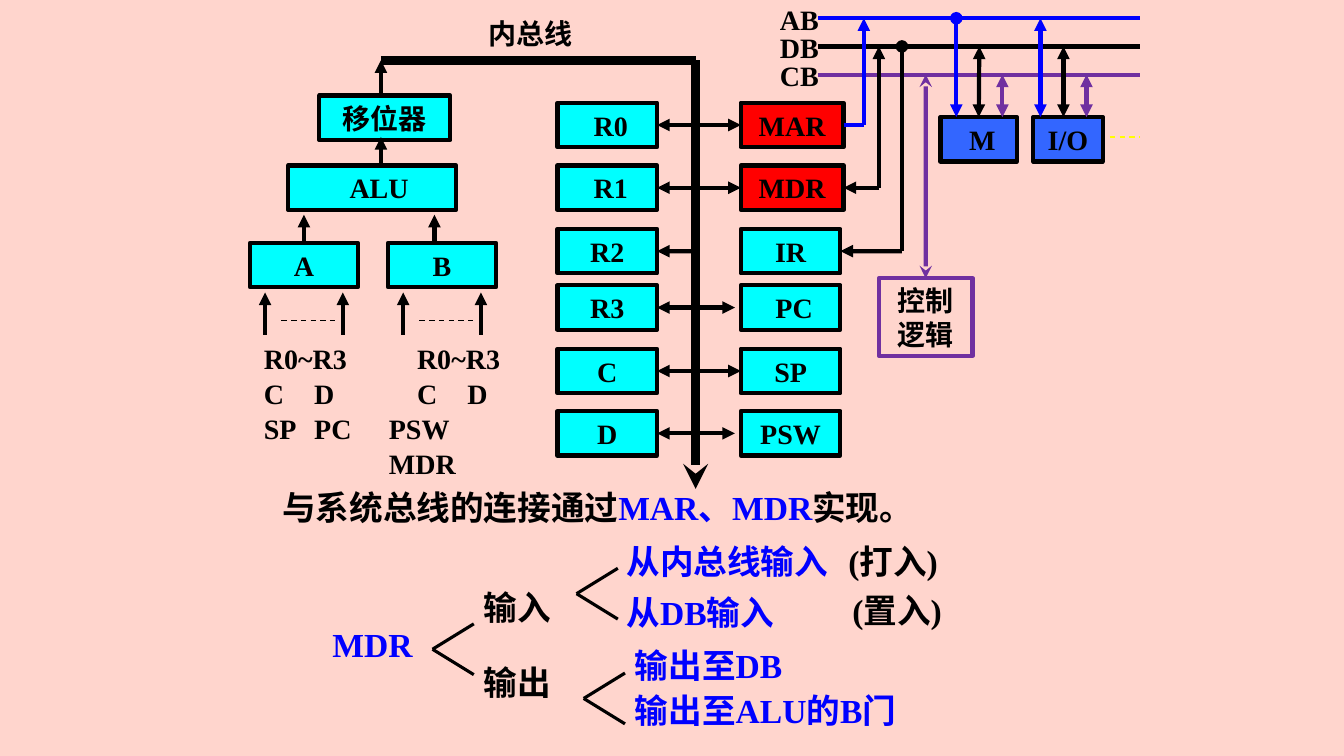
from lxml import etree
from pptx import Presentation, util as u
from pptx.dml.color import RGBColor
from pptx.enum import dml, shapes, text
from pptx.oxml.ns import qn

BLACK = RGBColor(0x00, 0x00, 0x00)
BLUE = RGBColor(0x00, 0x00, 0xFF)
PURPLE = RGBColor(0x70, 0x30, 0xA0)
CYAN = RGBColor(0x00, 0xFF, 0xFF)
DEVICE_BLUE = RGBColor(0x33, 0x66, 0xFF)
RED = RGBColor(0xFF, 0x00, 0x00)
YELLOW = RGBColor(0xFF, 0xFF, 0x00)
PINK = RGBColor(0xFF, 0xD5, 0xCD)

LEFT, CENTER = text.PP_ALIGN.LEFT, text.PP_ALIGN.CENTER
TOP, MIDDLE = text.MSO_ANCHOR.TOP, text.MSO_ANCHOR.MIDDLE
BOX_HEIGHT = 1.12
ROWS = [2.59, 4.17, 5.77, 7.19, 8.79, 10.36]
GENERAL = ["R0", "R1", "R2", "R3", "C", "D"]
SPECIAL = ["MAR", "MDR", "IR", "PC", "SP", "PSW"]
NUDGES = {"R0": 0.18, "R1": 0.18, "PC": 0.18}


def apply(target, values):
    for name, value in values.items():
        setattr(target, name, value)


def write(frame, spans, size=20, align=LEFT, anchor=TOP):
    apply(frame, {"word_wrap": True, "vertical_anchor": anchor,
                  "auto_size": text.MSO_AUTO_SIZE.NONE})
    para = frame.paragraphs[0]
    para.alignment = align
    for words, color in spans:
        add_span(para, words, size, color)


def add_span(para, words, size=20, color=BLACK):
    span = para.add_run()
    span.text = words
    apply(span.font, {"name": "Times New Roman", "size": u.Pt(size), "bold": True})
    span.font.color.rgb = color


def add_label(page, words, left, top, width, size=24, color=BLACK, align=LEFT):
    height = 1.27 if size == 24 else BOX_HEIGHT
    box = page.shapes.add_textbox(u.Cm(left), u.Cm(top), u.Cm(width), u.Cm(height))
    write(box.text_frame, [(words, color)], size, align)


def add_block(page, words, left, top, width, fill=CYAN, outline=BLACK,
              height=BOX_HEIGHT, nudge=0):
    box = page.shapes.add_shape(shapes.MSO_SHAPE.RECTANGLE, u.Cm(left), u.Cm(top),
                                u.Cm(width), u.Cm(height))
    box.shadow.inherit = False
    if fill is None:
        box.fill.background()
    else:
        box.fill.solid()
        box.fill.fore_color.rgb = fill
    box.line.color.rgb = outline
    box.line.width = u.Pt(3)
    write(box.text_frame, [(words, BLACK)], align=CENTER, anchor=MIDDLE)
    box.text_frame.margin_left = u.Cm(0.25 + nudge)
    return box


def add_line(page, start, end, color=BLACK, width=3, head=None, tail=None,
             dashed=False, begin=None, finish=None):
    line = page.shapes.add_connector(shapes.MSO_CONNECTOR.STRAIGHT,
                                     *map(u.Cm, start + end))
    if begin:
        line.begin_connect(*begin)
    if finish:
        line.end_connect(*finish)
    line.line.color.rgb = color
    line.line.width = u.Pt(width)
    if dashed:
        line.line.dash_style = dml.MSO_LINE.DASH
    outline = line.line._get_or_add_ln()
    for tag, kind in (("a:headEnd", head), ("a:tailEnd", tail)):
        if kind:
            etree.SubElement(outline, qn(tag), type=kind)
    etree.SubElement(line._element.spPr, qn("a:effectLst"))


def add_sources(page, left, rows):
    box = page.shapes.add_textbox(u.Cm(left), u.Cm(8.57), u.Cm(3.7), u.Cm(2.7))
    frame = box.text_frame
    apply(frame, {"margin_left": 0, "margin_top": 0, "margin_right": 0,
                  "margin_bottom": 0, "word_wrap": True})
    for index, (words, indent, stop) in enumerate(rows):
        para = frame.add_paragraph() if index else frame.paragraphs[0]
        para.line_spacing = u.Pt(25)
        props = para._p.get_or_add_pPr()
        props.set("marL", str(u.Cm(indent)))
        props.set("indent", "0")
        tabs = etree.SubElement(props, qn("a:tabLst"))
        etree.SubElement(tabs, qn("a:tab"), pos=str(u.Cm(stop)), algn="l")
        add_span(para, words)


def add_fork(page, x, y):
    for rise in (-0.64, 0.64):
        add_line(page, (x, y), (x + 1.04, y + rise), width=2.25)


def add_alu_path(page):
    add_block(page, "移位器", 8.05, 2.41, 3.3)
    add_block(page, "ALU", 7.26, 4.17, 4.24, nudge=0.35)
    gate_a = add_block(page, "A", 6.3, 6.12, 2.72)
    add_block(page, "B", 9.78, 6.12, 2.72)
    add_line(page, (7.66, 6.12), (7.66, 5.41), tail="triangle", begin=(gate_a, 0))
    for x, start, end in ((10.95, 6.12, 5.41), (9.6, 4.17, 3.45), (9.6, 2.41, 1.52)):
        add_line(page, (x, start), (x, end), tail="triangle")
    for x in (6.68, 10.16):
        add_line(page, (x + 0.41, 8.08), (x + 1.75, 8.08), width=1, dashed=True)
        for offset in (0, 1.96):
            add_line(page, (x + offset, 8.43), (x + offset, 7.37), tail="triangle")
    add_sources(page, 6.65, [("R0~R3", 0, 1.4), ("C\tD", 0, 1.4), ("SP\tPC", 0, 1.15)])
    add_sources(page, 9.8, [("R0~R3", 0.71, 2.1), ("C\tD", 0.71, 2.1),
                            ("PSW\tMDR", 0, 1.87)])


def add_registers(page):
    add_label(page, "内总线", 11.33, 0.28, 4.06, 20, align=CENTER)
    add_line(page, (9.6, 1.52), (17.53, 1.52), width=6)
    add_line(page, (17.53, 1.52), (17.53, 12.32), width=6, tail="stealth")
    special = {}
    for top, general_name, name in zip(ROWS, GENERAL, SPECIAL):
        general = add_block(page, general_name, 14.05, top, 2.51,
                            nudge=NUDGES.get(general_name, 0))
        on_system_bus = name in ("MAR", "MDR")
        special[name] = add_block(page, name, 18.67, top, 2.59 if on_system_bus else 2.51,
                                  RED if on_system_bus else CYAN,
                                  nudge=NUDGES.get(name, 0))
        y = top + BOX_HEIGHT / 2
        start = {"IR": 17.53, "PC": 18.52, "PSW": 18.52}.get(name, 18.67)
        add_line(page, (start, y), (16.56, y), tail="triangle",
                 head=None if name == "IR" else "triangle", finish=(general, 3),
                 begin=(special[name], 1) if start == 18.67 else None)
    return special


def add_system_bus(page, special):
    buses = {"AB": (0.46, BLUE), "DB": (1.17, BLACK), "CB": (1.88, PURPLE)}
    for name, (y, color) in buses.items():
        add_label(page, name, 19.08, y - 0.53, 2.13, 20, align=CENTER)
        add_line(page, (20.62, y), (28.73, y), color)
    memory = add_block(page, "M", 23.7, 2.95, 1.93, DEVICE_BLUE, nudge=0.18)
    add_block(page, "I/O", 26.04, 2.95, 1.75, DEVICE_BLUE)
    for first, heads in ((24.1, ("oval", "triangle", "triangle")),
                         (26.22, ("triangle",) * 3)):
        for index, ((y, color), head) in enumerate(zip(buses.values(), heads)):
            x = first + 0.58 * index
            at_middle = first == 24.1 and index == 1
            add_line(page, (x, y), (x, 2.95), color, head=head, tail="triangle",
                     finish=(memory, 0) if at_middle else None)
    add_line(page, (27.97, 3.45), (28.73, 3.45), YELLOW, 1, dashed=True)

    mar_y, mdr_y, ir_y = (top + BOX_HEIGHT / 2 for top in ROWS[:3])
    add_line(page, (21.26, mar_y), (21.77, mar_y), BLUE, begin=(special["MAR"], 3))
    add_line(page, (21.77, mar_y), (21.77, 0.46), BLUE, tail="triangle")
    add_line(page, (22.15, mdr_y), (21.26, mdr_y), tail="triangle",
             finish=(special["MDR"], 3))
    add_line(page, (22.15, mdr_y), (22.15, 1.17), tail="triangle")
    add_line(page, (22.73, 1.17), (22.73, ir_y), head="oval")
    add_line(page, (22.73, ir_y), (21.18, ir_y), tail="triangle",
             finish=(special["IR"], 3))
    control = add_block(page, "控制逻辑", 22.15, 7.01, 2.36, None, PURPLE, 1.96)
    add_line(page, (23.33, 1.88), (23.33, 7.01), PURPLE, head="stealth",
             tail="stealth", finish=(control, 0))


def add_mdr_tree(page):
    for words, left, top, width, color in (
            ("MDR", 8.13, 15.6, 2.97, BLUE),
            ("输入", 11.94, 14.66, 2.6, BLACK),
            ("输出", 11.94, 16.56, 2.6, BLACK),
            ("从内总线输入", 15.54, 13.51, 5.6, BLUE),
            ("从DB输入", 15.54, 14.78, 5.6, BLUE),
            ("(打入)", 21.13, 13.51, 3.6, BLACK),
            ("(置入)", 21.23, 14.73, 3.6, BLACK),
            ("输出至DB", 15.75, 16.13, 9.09, BLUE),
            ("输出至ALU的B门", 15.75, 17.27, 9.09, BLUE)):
        add_label(page, words, left, top, width, color=color)
    for x, y in ((10.9, 16.36), (14.53, 14.96), (14.71, 17.6)):
        add_fork(page, x, y)


def main():
    deck = Presentation()
    apply(deck, {"slide_width": u.Cm(33.87), "slide_height": u.Cm(19.05)})
    page = deck.slides.add_slide(deck.slide_layouts[5])
    page.background.fill.solid()
    page.background.fill.fore_color.rgb = PINK
    title = page.shapes.title
    apply(title, {"left": u.Cm(6.86), "top": u.Cm(12.14),
                  "width": u.Cm(17.07), "height": u.Cm(2.3)})
    write(title.text_frame, [("与系统总线的连接通过", BLACK), ("MAR、MDR", BLUE),
                             ("实现。", BLACK)], 24)
    add_alu_path(page)
    add_system_bus(page, add_registers(page))
    add_mdr_tree(page)
    deck.save("out.pptx")


if __name__ == "__main__":
    main()
